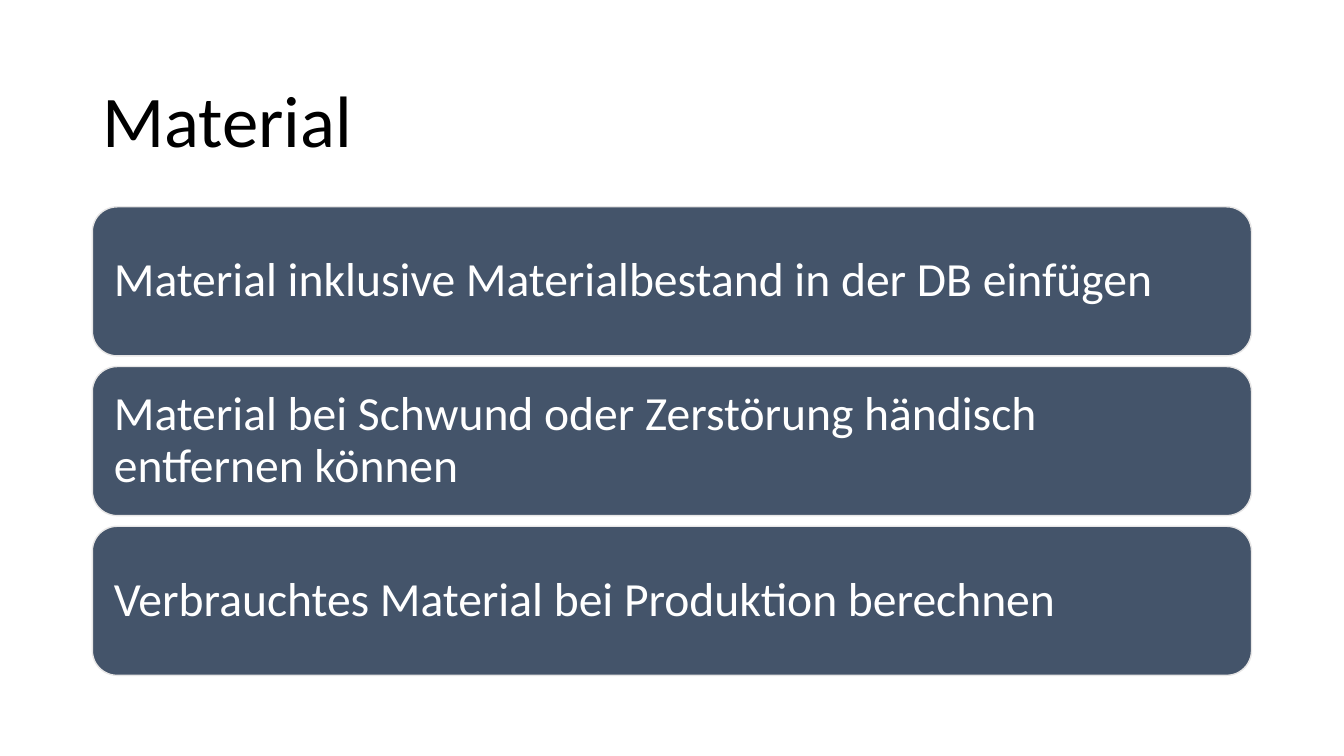
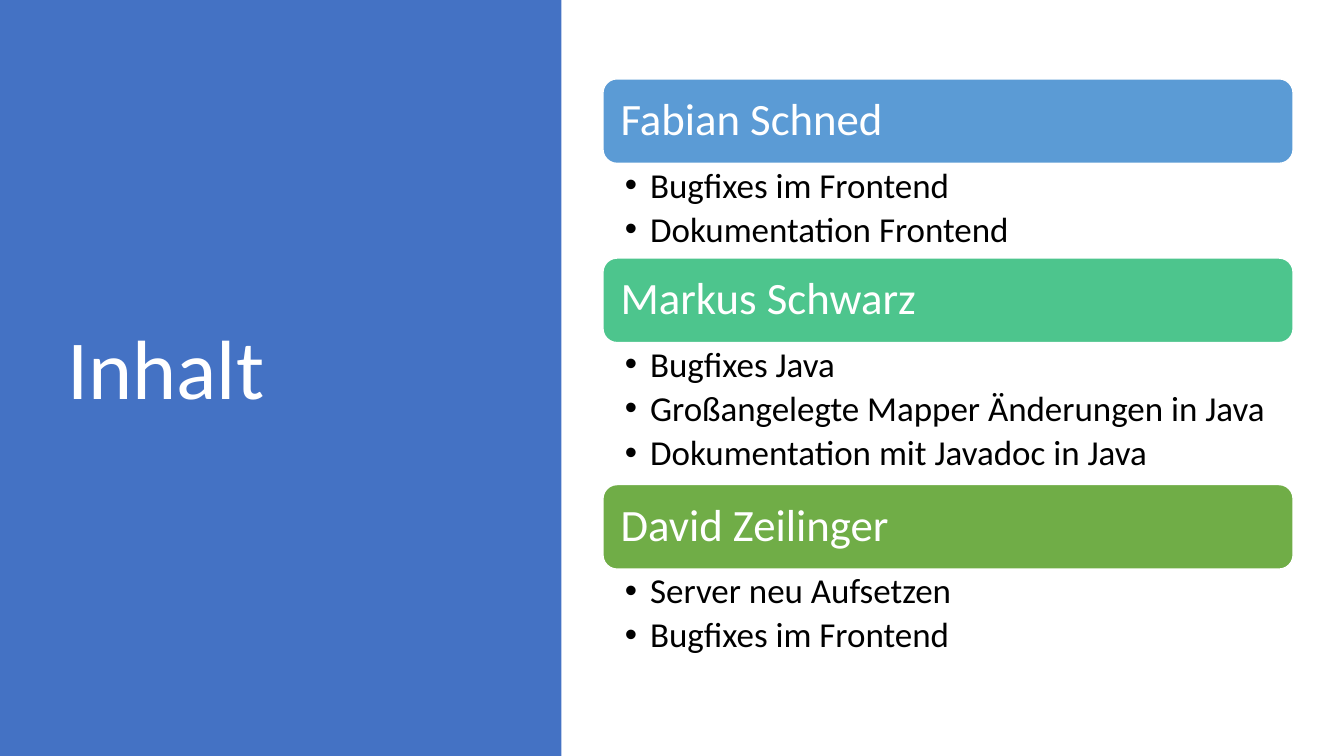
from lxml.etree import SubElement
from pptx import Presentation
from pptx.dml.color import RGBColor
from pptx.enum.shapes import MSO_SHAPE as Preset
from pptx.enum.text import MSO_ANCHOR as Anchor, PP_ALIGN as Align
from pptx.oxml.ns import qn
from pptx.util import Pt

FONT = "Calibri"
COLORS = {
    "black": "000000",
    "white": "FFFFFF",
    "slate": "44546A",
    "light gray": "E7E6E6",
    "band blue": "4472C4",
    "sky blue": "5B9BD5",
    "mint": "4DC58D",
    "green": "70AD47",
}

REQUIREMENTS = [
    "Material inklusive Materialbestand in der DB einfügen",
    "Material bei Schwund oder Zerstörung händisch entfernen können",
    "Verbrauchtes Material bei Produktion berechnen",
]
TEAM = [
    ("Fabian Schned", "sky blue",
     ["Bugfixes im Frontend", "Dokumentation Frontend"]),
    ("Markus Schwarz", "mint",
     ["Bugfixes Java", "Großangelegte Mapper Änderungen in Java",
      "Dokumentation mit Javadoc in Java"]),
    ("David Zeilinger", "green",
     ["Server neu Aufsetzen", "Bugfixes im Frontend"]),
]


def color(name):
    return RGBColor.from_string(COLORS[name])


def add_bullet(paragraph, indent=18):
    properties = paragraph._p.get_or_add_pPr()
    properties.set("marL", str(Pt(indent)))
    properties.set("indent", str(-Pt(indent)))
    SubElement(properties, qn("a:buFont"), typeface="Arial")
    SubElement(properties, qn("a:buChar"), char="•")


def write(shape, lines, *, size, ink="white", anchor=Anchor.MIDDLE,
          margins=(7.2, 3.6, 7.2, 3.6), bullets=False, space_after=0):
    """Fill a shape with one paragraph per line; margins run left, top, right, bottom."""
    frame = shape.text_frame
    frame.word_wrap = True
    frame.vertical_anchor = anchor
    (frame.margin_left, frame.margin_top,
     frame.margin_right, frame.margin_bottom) = map(Pt, margins)
    for index, line in enumerate(lines):
        paragraph = frame.add_paragraph() if index else frame.paragraphs[0]
        if bullets:
            add_bullet(paragraph)
        paragraph.alignment = Align.LEFT
        paragraph.line_spacing = 0.9
        paragraph.space_after = Pt(space_after)
        paragraph.font.name = FONT
        paragraph.font.size = Pt(size)
        paragraph.font.color.rgb = color(ink)
        paragraph.add_run().text = line


def add_text(slide, box, lines, **text_format):
    write(slide.shapes.add_textbox(*map(Pt, box)), lines, **text_format)


def add_panel(slide, preset, box, fill, outline=None):
    shape = slide.shapes.add_shape(preset, *map(Pt, box))
    shape.shadow.inherit = False
    shape.fill.solid()
    shape.fill.fore_color.rgb = color(fill)
    if outline:
        shape.line.color.rgb = color(outline)
        shape.line.width = Pt(1)
    else:
        shape.line.fill.background()
    return shape


def add_card(slide, box, text, *, fill, outline, size, margin):
    card = add_panel(slide, Preset.ROUNDED_RECTANGLE, box, fill, outline)
    write(card, [text], size=size, margins=[margin] * 4)


def build_material(slide):
    left, width = 66, 828
    top, height, gap = 147.7, 106.5, 7.6
    add_text(slide, (left, 44, width, 89.5), ["Material"], size=52, ink="black")
    for index, requirement in enumerate(REQUIREMENTS):
        box = (left, top + index * (height + gap), width, height)
        add_card(slide, box, requirement, fill="slate", outline="light gray",
                 size=34, margin=10.2)


def build_contents(slide):
    left, width, top = 430.7, 493, 56.3
    header_height, task_height = 60.4, 33.8
    add_panel(slide, Preset.RECTANGLE, (0, 0, 401, 540), "band blue")
    add_text(slide, (41, 49, 299.5, 433.5), ["Inhalt"], size=60)
    for member, fill, tasks in TEAM:
        add_card(slide, (left, top, width, header_height), member, fill=fill,
                 outline="white", size=32, margin=9.6)
        top += header_height
        list_height = task_height * len(tasks)
        add_text(slide, (left, top, width, list_height), tasks, size=25,
                 ink="black", anchor=Anchor.TOP, margins=(15.7, 3.2, 17.8, 3.2),
                 bullets=True, space_after=4.5)
        top += list_height


def main():
    presentation = Presentation()
    presentation.slide_width = Pt(960)
    presentation.slide_height = Pt(540)
    blank = presentation.slide_layouts[6]
    for build in (build_material, build_contents):
        build(presentation.slides.add_slide(blank))
    presentation.save("out.pptx")


if __name__ == "__main__":
    main()
